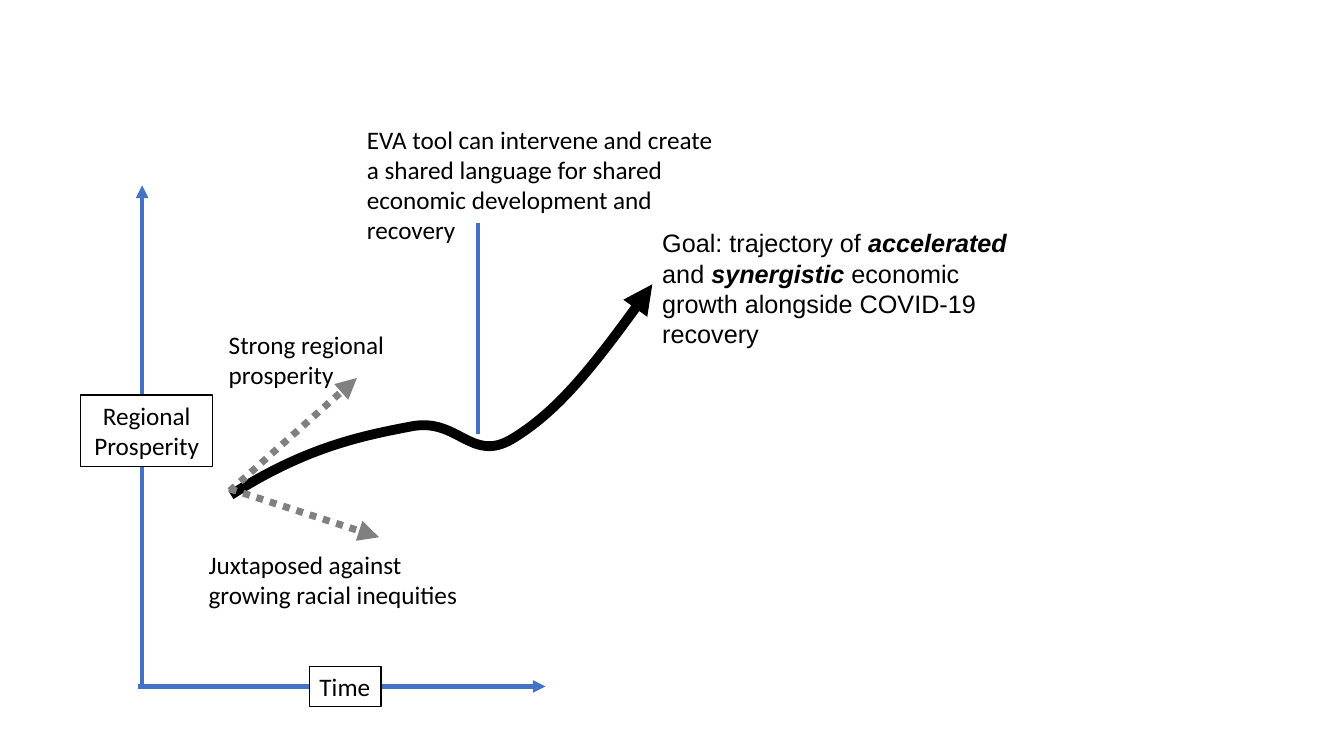
from itertools import chain

from lxml.etree import SubElement
from pptx import Presentation
from pptx.dml.color import RGBColor
from pptx.enum.dml import MSO_LINE as Dash
from pptx.enum.shapes import MSO_CONNECTOR as Connector, MSO_SHAPE as Shape
from pptx.enum.text import MSO_ANCHOR as Anchor, MSO_AUTO_SIZE as AutoSize, PP_ALIGN as Align
from pptx.oxml.ns import qn
from pptx.util import Inches, Pt

COLORS = {"axis": "4472C4", "ink": "000000", "arrow": "808080", "paper": "FFFFFF"}


class TrajectorySlide:
    font = "Calibri"
    size = Pt(18)

    def __init__(self, deck):
        self.shapes = deck.slides.add_slide(deck.slide_layouts[6]).shapes

    def color(self, name):
        return RGBColor.from_string(COLORS[name])

    def stroke(self, shape, color, width, arrow=False, dash=None):
        shape.line.color.rgb = self.color(color)
        shape.line.width = Pt(width)
        if dash:
            shape.line.dash_style = dash
        if arrow:
            outline = shape._element.spPr.find(qn("a:ln"))
            SubElement(outline, qn("a:tailEnd"), type="triangle")

    def line(self, start, end, color, width, arrow=False, dash=None):
        connector = self.shapes.add_connector(Connector.STRAIGHT, *map(Inches, start + end))
        self.stroke(connector, color, width, arrow, dash)
        SubElement(connector._element.spPr, qn("a:effectLst"))

    def curve(self, start, bends, color, width):
        builder = self.shapes.build_freeform(*map(Inches, start))
        points = chain.from_iterable(bends)
        builder.add_line_segments([tuple(map(Inches, point)) for point in points], close=False)
        trajectory = builder.convert_to_shape()
        segments = list(trajectory._element.iter(qn("a:lnTo")))
        outline = segments[0].getparent()
        for first in range(0, len(segments), 3):
            bezier = SubElement(outline, qn("a:cubicBezTo"))
            for segment in segments[first:first + 3]:
                bezier.append(segment[0])
                outline.remove(segment)
        trajectory.fill.background()
        trajectory.shadow.inherit = False
        self.stroke(trajectory, color, width, arrow=True)

    def set_text(self, shape, runs, align=Align.LEFT, wrap=True, font=None):
        frame = shape.text_frame
        frame_format = {
            "word_wrap": wrap,
            "auto_size": AutoSize.SHAPE_TO_FIT_TEXT,
            "vertical_anchor": Anchor.TOP,
        }
        for name, value in frame_format.items():
            setattr(frame, name, value)
        paragraph = frame.paragraphs[0]
        paragraph.alignment = align
        for words, strong in runs:
            run = paragraph.add_run()
            run.text = words
            run_format = {"name": font or self.font, "size": self.size,
                          "bold": strong, "italic": strong}
            for name, value in run_format.items():
                setattr(run.font, name, value)
            run.font.color.rgb = self.color("ink")

    def note(self, box, runs, font=None):
        self.set_text(self.shapes.add_textbox(*map(Inches, box)), runs, font=font)

    def axis_label(self, box, words, align, wrap):
        label = self.shapes.add_shape(Shape.RECTANGLE, *map(Inches, box))
        label.shadow.inherit = False
        label.fill.solid()
        label.fill.fore_color.rgb = self.color("paper")
        self.stroke(label, "ink", 1)
        self.set_text(label, [(words, False)], align, wrap)


def main():
    deck = Presentation()
    deck.slide_width, deck.slide_height = Inches(13.33), Inches(7.5)
    slide = TrajectorySlide(deck)

    slide.line((1.41, 6.81), (1.41, 1.84), "axis", 3, arrow=True)
    slide.curve((2.29, 4.91), [
        [(3.04, 4.43), (3.61, 4.32), (4.08, 4.23)],
        [(4.54, 4.14), (4.67, 4.59), (5.07, 4.36)],
        [(5.47, 4.12), (5.86, 3.69), (6.47, 2.82)],
    ], "ink", 7)
    for start, end in [((2.28, 4.87), (3.54, 3.75)), ((2.28, 4.85), (3.76, 5.33))]:
        slide.line(start, end, "arrow", 5, arrow=True, dash=Dash.ROUND_DOT)

    slide.note((6.47, 2.21, 3.8, 1.01), [
        ("Goal: trajectory of ", False),
        ("accelerated", True),
        (" and ", False),
        ("synergistic", True),
        (" economic growth alongside COVID-19 recovery", False),
    ], font="Arial")
    notes = [
        ((2.17, 3.22, 1.88, 0.71), "Strong regional prosperity"),
        ((1.97, 5.4, 2.77, 0.71), "Juxtaposed against growing racial inequities"),
        ((3.54, 1.18, 3.76, 1.31), "EVA tool can intervene and create a shared language "
                                   "for shared economic development and recovery"),
    ]
    for box, words in notes:
        slide.note(box, [(words, False)])

    slide.line((4.74, 2.21), (4.74, 4.31), "axis", 3)
    slide.line((1.37, 6.81), (5.41, 6.81), "axis", 3, arrow=True)
    slide.axis_label((0.8, 3.92, 1.31, 0.71), "Regional Prosperity", Align.CENTER, True)
    slide.axis_label((3.07, 6.61, 0.71, 0.4), "Time", Align.LEFT, False)

    deck.save("out.pptx")


if __name__ == "__main__":
    main()
